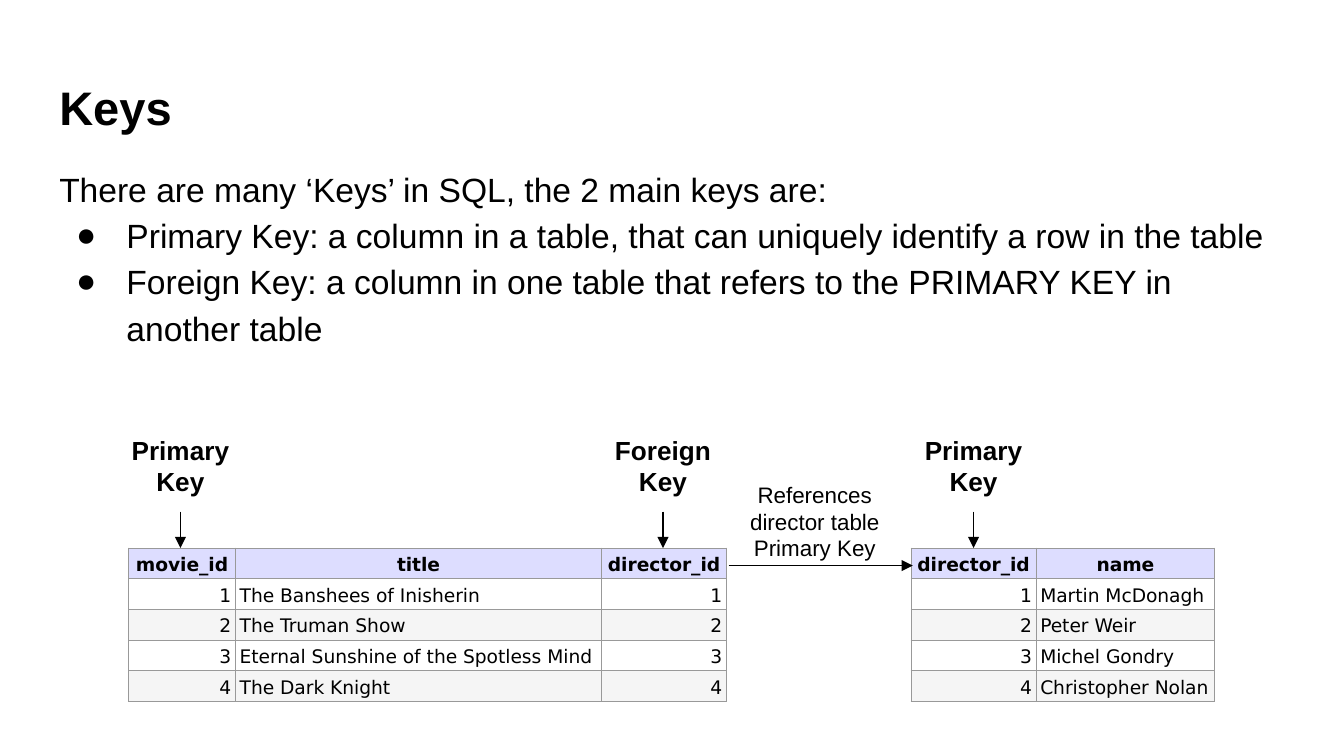
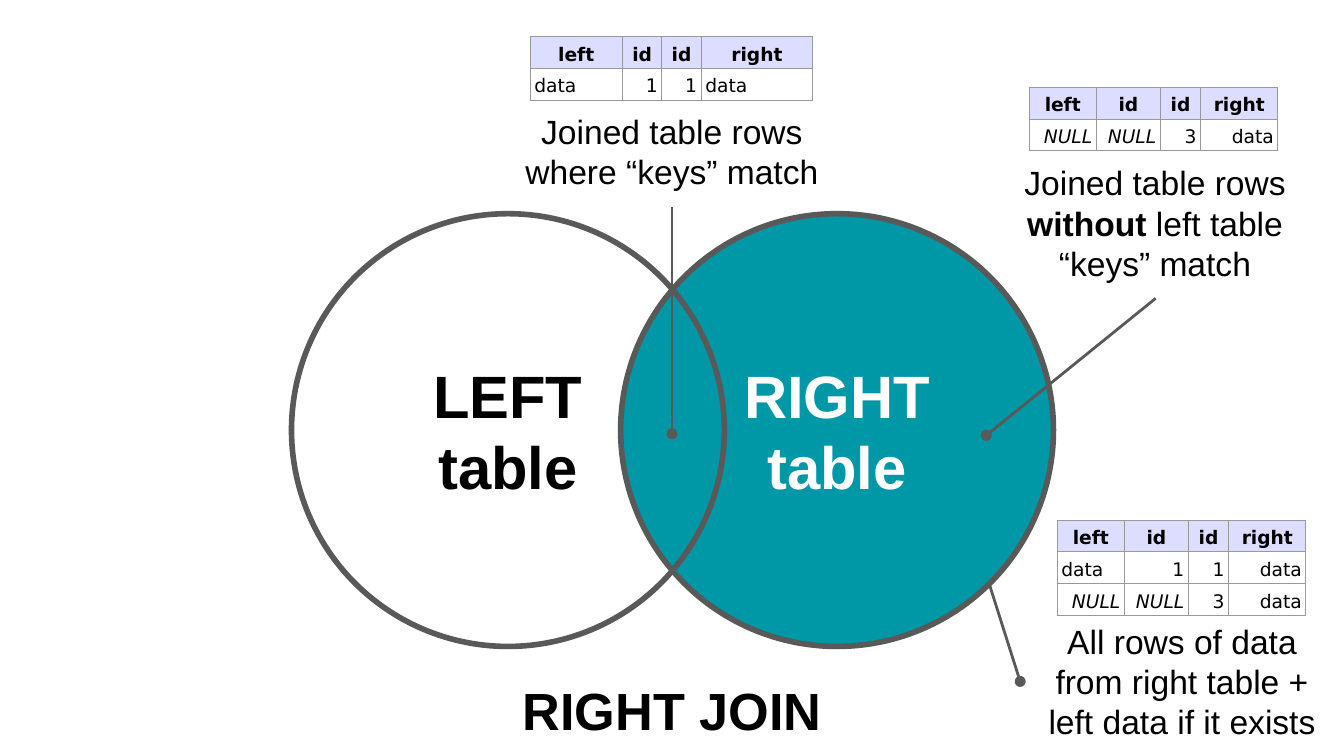
from lxml import etree
from pptx import Presentation
from pptx.dml.color import RGBColor
from pptx.enum.shapes import MSO_CONNECTOR as CONN, MSO_SHAPE as SHAPE
from pptx.enum.text import MSO_ANCHOR as ANCHOR, MSO_AUTO_SIZE as AUTO, PP_ALIGN as ALIGN
from pptx.oxml.ns import qn
from pptx.util import Cm, Pt

BLACK, WHITE, GREY, TEAL = "000000", "FFFFFF", "595959", "0097A7"
HEADER, STRIPE, BORDER = "DDDDFF", "F5F5F5", "999999"
ALIGNS = {"l": ALIGN.LEFT, "c": ALIGN.CENTER, "r": ALIGN.RIGHT}


def rgb(color):
    return RGBColor.from_string(color)


def sub(parent, tag, **attrs):
    return etree.SubElement(parent, qn(tag), attrs)


def write(tf, text, size=18, font="Arial", color=BLACK, bold=False, italic=False,
          align="l", spacing=None, anchor=ANCHOR.TOP, insets=(0.25, 0.25)):
    """Write one paragraph per line; words between asterisks are bold."""
    tf.word_wrap = True
    tf.auto_size = AUTO.NONE
    tf.vertical_anchor = anchor
    tf.margin_left = tf.margin_right = Cm(insets[0])
    tf.margin_top = tf.margin_bottom = Cm(insets[1])
    for n, line in enumerate(text.split("\n")):
        p = tf.add_paragraph() if n else tf.paragraphs[0]
        p.alignment = ALIGNS[align]
        p.space_before = Pt(0)
        if spacing:
            p.line_spacing = spacing
        for i, part in enumerate(line.split("*")):
            r = p.add_run()
            r.text = part
            r.font.name, r.font.size = font, Pt(size)
            r.font.bold, r.font.italic = bold or i % 2 == 1, italic
            r.font.color.rgb = rgb(color)


class Deck:
    def __init__(self):
        self.prs = Presentation()
        self.prs.slide_width, self.prs.slide_height = Cm(25.4), Cm(14.29)
        self.s = None

    def slide(self, layout):
        self.s = self.prs.slides.add_slide(self.prs.slide_layouts[layout])

    def place(self, sp, x, y, w, h):
        sp.left, sp.top, sp.width, sp.height = Cm(x), Cm(y), Cm(w), Cm(h)

    def title(self, text):
        sp = self.s.shapes.title
        self.place(sp, 0.87, 1.24, 23.67, 1.59)
        write(sp.text_frame, text, size=25.2, bold=True)

    def body(self, intro, bullets):
        sp = self.s.placeholders[1]
        self.place(sp, 0.87, 2.82, 23.67, 4.75)
        write(sp.text_frame, "\n".join([intro, *bullets]), spacing=1.15)
        for n, p in enumerate(sp.text_frame.paragraphs):
            pPr = p._p.get_or_add_pPr()
            pPr.set("marL", str(Cm(1.27) if n else 0))
            pPr.set("indent", str(-Cm(0.95) if n else 0))
            if n:
                sub(sub(pPr, "a:buClr"), "a:srgbClr", val=BLACK)
                sub(pPr, "a:buFont", typeface="Arial")
                sub(pPr, "a:buChar", char="●")
            else:
                sub(pPr, "a:buNone")

    def text(self, text, x, y, w, h, **fmt):
        sp = self.s.shapes.add_textbox(Cm(x), Cm(y), Cm(w), Cm(h))
        write(sp.text_frame, text, align="c", **fmt)

    def circle(self, text, x, y, d, fill=None, color=BLACK):
        sp = self.s.shapes.add_shape(SHAPE.OVAL, Cm(x), Cm(y), Cm(d), Cm(d))
        sp.shadow.inherit = False
        if fill:
            sp.fill.solid()
            sp.fill.fore_color.rgb = rgb(fill)
        else:
            sp.fill.background()
        sp.line.color.rgb, sp.line.width = rgb(GREY), Pt(3)
        write(sp.text_frame, text, size=32, bold=True, color=color, align="c",
              anchor=ANCHOR.MIDDLE)

    def line(self, x1, y1, x2, y2, end, kind, color, width):
        c = self.s.shapes.add_connector(CONN.STRAIGHT, Cm(x1), Cm(y1), Cm(x2), Cm(y2))
        c.line.color.rgb, c.line.width = rgb(color), Pt(width)
        sub(c.line._get_or_add_ln(), end, type=kind)
        sub(c._element.spPr, "a:effectLst")

    def arrow(self, *ends):
        self.line(*ends, "a:tailEnd", "triangle", BLACK, 0.75)

    def pointer(self, *ends):
        self.line(*ends, "a:headEnd", "oval", GREY, 1.5)

    def table(self, x, y, widths, aligns, rows, row_h=0.6, stripe=WHITE):
        frame = self.s.shapes.add_table(len(rows), len(widths), Cm(x), Cm(y),
                                        Cm(sum(widths)), Cm(row_h * len(rows)))
        tbl = frame.table
        tbl.first_row = tbl.horz_banding = False
        for col, w in zip(tbl.columns, widths):
            col.width = Cm(w)
        for i, row in enumerate(rows):
            tbl.rows[i].height = Cm(row_h)
            for j, value in enumerate(row):
                head, null = i == 0, value == "NULL"
                fill = HEADER if head else WHITE if i % 2 else stripe
                align = "c" if head else "r" if null else aligns[j]
                self.cell(tbl.cell(i, j), value, fill, bold=head, italic=null, align=align)

    def cell(self, cell, value, fill, **fmt):
        write(cell.text_frame, value, size=10, font="DejaVu Sans", spacing=1.15, **fmt)
        cell.vertical_anchor = ANCHOR.BOTTOM
        cell.margin_left = cell.margin_right = Cm(0.08)
        cell.margin_top = cell.margin_bottom = Cm(0.05)
        cell.fill.solid()
        cell.fill.fore_color.rgb = rgb(fill)
        tcPr = cell._tc.get_or_add_tcPr()
        for n, side in enumerate("LRTB"):
            ln = sub(tcPr, f"a:ln{side}", w=str(Pt(0.6)))
            sub(sub(ln, "a:solidFill"), "a:srgbClr", val=BORDER)
            tcPr.insert(n, ln)


def keys_slide(d):
    d.slide(1)
    d.title("Keys")
    d.body("There are many ‘Keys’ in SQL, the 2 main keys are:", [
        "Primary Key: a column in a table, that can uniquely identify a row in the table",
        "Foreign Key: a column in one table that refers to the PRIMARY KEY in another table",
    ])

    # Movie and director tables
    top = 10.36
    movies = ["The Banshees of Inisherin", "The Truman Show",
              "Eternal Sunshine of the Spotless Mind", "The Dark Knight"]
    directors = ["Martin McDonagh", "Peter Weir", "Michel Gondry", "Christopher Nolan"]
    movie_rows = [(str(n), m, str(n)) for n, m in enumerate(movies, 1)]
    director_rows = [(str(n), name) for n, name in enumerate(directors, 1)]
    d.table(2.43, top, [2.02, 6.92, 2.36], "rlr",
            [("movie_id", "title", "director_id"), *movie_rows], 0.58, STRIPE)
    d.table(17.22, top, [2.36, 3.38], "rl",
            [("director_id", "name"), *director_rows], 0.58, STRIPE)

    # Key labels, each with an arrow to its column
    for label, center, w in [("Primary Key", 3.41, 2.62), ("Foreign Key", 12.53, 3.12),
                             ("Primary Key", 18.4, 2.62)]:
        d.text(label, center - w / 2, 7.96, w, 1.7, size=14, bold=True)
        d.arrow(center, 9.67, center, top)

    # Reference between the tables
    d.arrow(13.77, 10.69, 17.25, 10.69)
    d.text("References director table Primary Key", 13.84, 8.84, 3.12, 2.06, size=12)


def right_join_slide(d):
    d.slide(6)

    # Venn diagram
    d.circle("RIGHT\ntable", 11.73, 4.04, 8.18, fill=TEAL, color=WHITE)
    d.circle("LEFT\ntable", 5.51, 4.04, 8.18)
    d.text("RIGHT JOIN", 5.03, 12.57, 15.34, 1.7, size=28, bold=True)

    # Callouts
    d.pointer(12.7, 8.2, 12.7, 3.91)
    d.text("Joined table rows\nwhere “keys” match", 5.03, 1.85, 15.34, 2.06)
    d.pointer(18.64, 8.23, 21.84, 5.64)
    d.text("Joined table rows *without* left table “keys” match", 18.26, 2.82, 7.14, 2.82)
    d.pointer(19.28, 12.88, 18.69, 11.02)
    d.text("All rows of data from right table + left data if it exists",
           19.28, 11.48, 6.12, 2.82)

    # Result tables
    header = ("left", "id", "id", "right")
    matched = ("data", "1", "1", "data")
    unmatched = ("NULL", "NULL", "3", "data")
    narrow = [1.27, 1.21, 0.76, 1.46]
    d.table(10.02, 0.69, [1.74, 0.75, 0.74, 2.11], "lrrl", [header, matched])
    d.table(19.45, 1.65, narrow, "lrrr", [header, unmatched])
    d.table(19.98, 9.83, narrow, "lrrr", [header, matched, unmatched])


def main():
    d = Deck()
    keys_slide(d)
    right_join_slide(d)
    d.prs.save("out.pptx")


if __name__ == "__main__":
    main()
